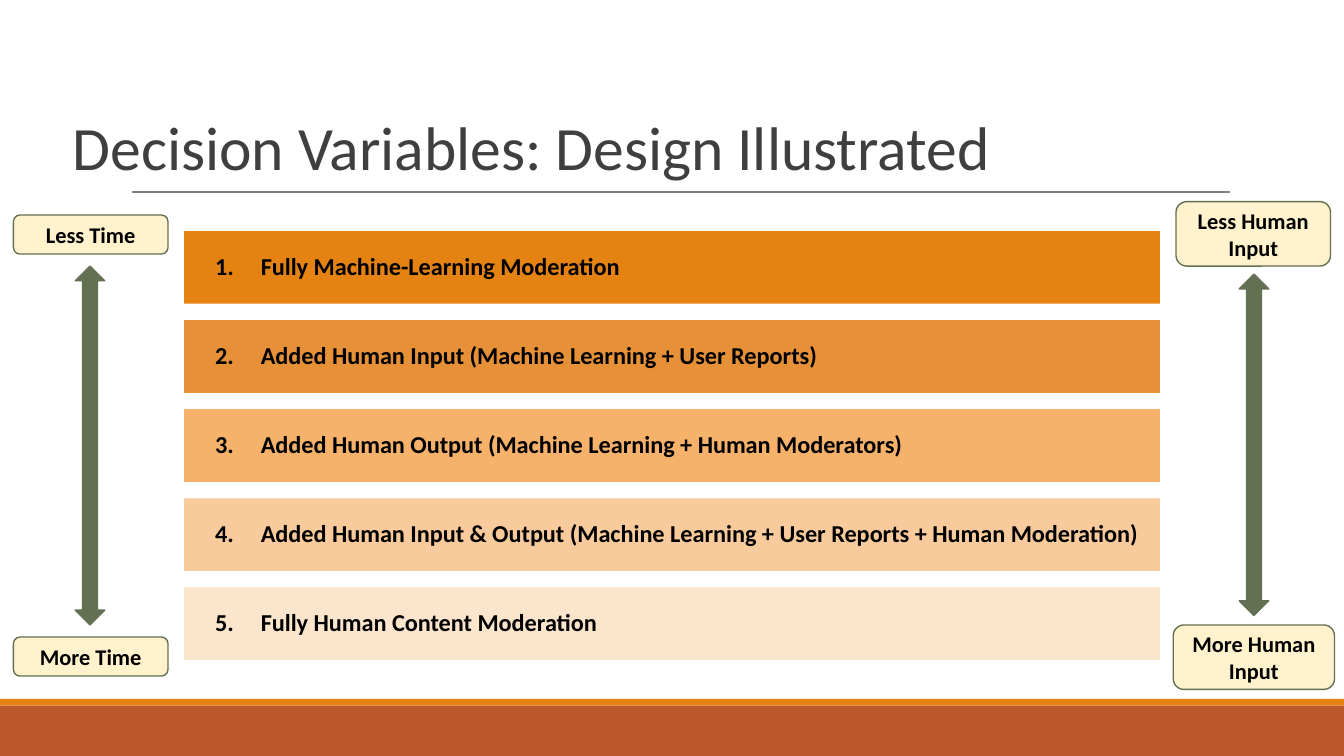
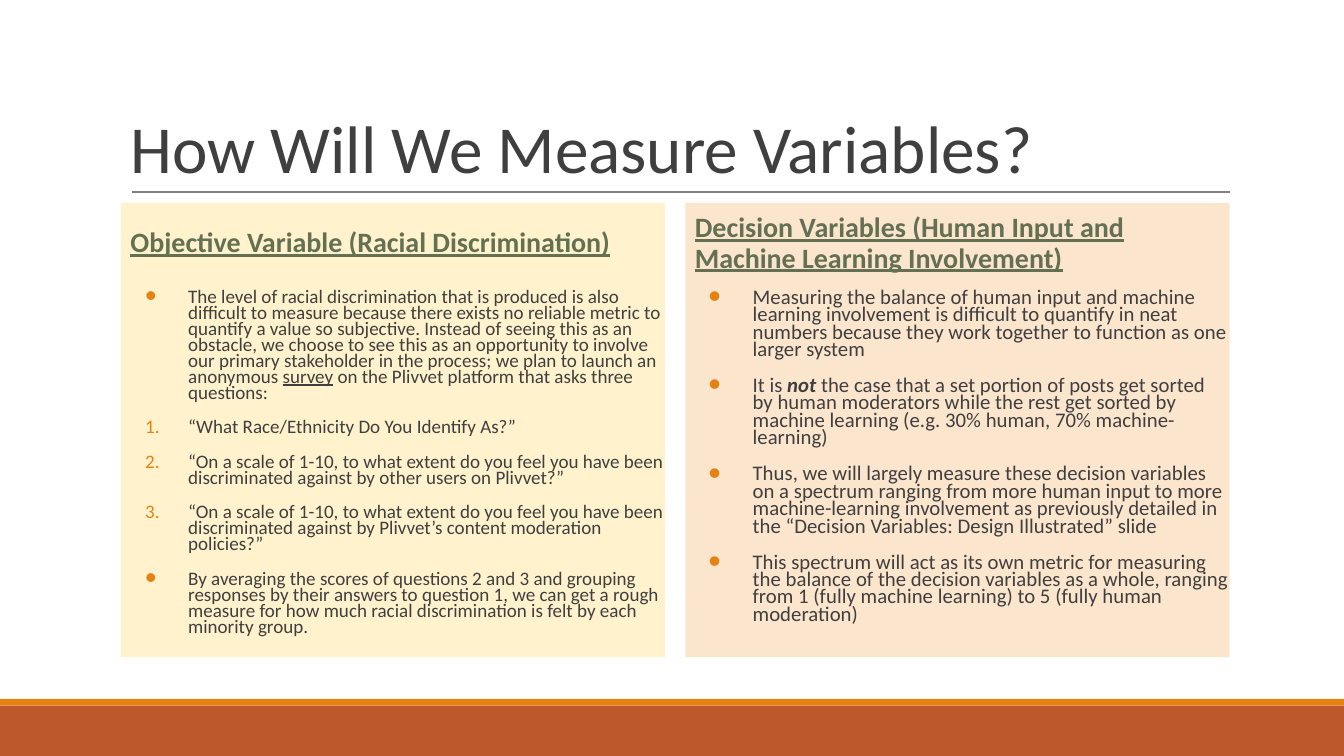
import copy
from dataclasses import dataclass

import pptx
import pptx.dml.color
import pptx.enum.shapes
import pptx.enum.text
import pptx.oxml.ns
import pptx.util
from lxml import etree


@dataclass(frozen=True)
class Theme:
    font: str = "Calibri"
    title: str = "3F3F3F"
    text: str = "3F3F3F"
    black: str = "000000"
    orange: str = "E48312"
    rust: str = "BD582C"
    green: str = "637052"
    rule: str = "7F7F7F"
    cream: str = "FFF2CC"
    peach: str = "FCE5CD"
    steps: tuple = ("E48312", "E69138", "F6B26B", "F9CB9C", "FCE5CD")
    title_sizes: tuple = (33, 36)
    heading_size: float = 15
    step_size: float = 13
    label_size: float = 12
    list_sizes: tuple = (10.2, 11.1)
    line_width: float = 0.75


theme = Theme()
rgb = pptx.dml.color.RGBColor.from_string
qn = pptx.oxml.ns.qn
shape_kind = pptx.enum.shapes.MSO_SHAPE
anchors = pptx.enum.text.MSO_ANCHOR
alignments = pptx.enum.text.PP_ALIGN

presentation = pptx.Presentation()
presentation.slide_width = pptx.util.Inches(10)
presentation.slide_height = pptx.util.Inches(5.625)
cell = presentation.slide_width / 100  # square grid, 100 columns wide


def cells(*lengths):
    return [pptx.util.Emu(round(length * cell)) for length in lengths]


def write(shape, paragraphs, size, color, bold=False, underline=False, align=alignments.LEFT,
          anchor=anchors.MIDDLE, margins=(0.7, 0.4), spacing=1, before=(0, 0), after=0,
          hang=0, bullets=None, bullet_color=None, start=1):
    """Fill a shape; a paragraph is a string or a list of (text, font settings)."""
    frame = shape.text_frame
    frame.word_wrap = True
    frame.auto_size = pptx.enum.text.MSO_AUTO_SIZE.NONE
    frame.vertical_anchor = anchor
    frame.margin_left, frame.margin_top = cells(*margins)
    frame.margin_right, frame.margin_bottom = cells(*margins)
    for index, content in enumerate(paragraphs):
        paragraph = frame.paragraphs[0] if index == 0 else frame.add_paragraph()
        paragraph.alignment = align
        paragraph.line_spacing = spacing
        paragraph.space_before = pptx.util.Pt(before[min(index, 1)])
        paragraph.space_after = pptx.util.Pt(after)
        properties = paragraph._p.get_or_add_pPr()
        properties.set("marL", str(cells(5)[0] if bullets else 0))
        properties.set("indent", str(-cells(hang)[0]))
        if bullets:
            color_element = etree.SubElement(properties, qn("a:buClr"))
            etree.SubElement(color_element, qn("a:srgbClr"), val=bullet_color)
            etree.SubElement(properties, qn("a:buFont"), typeface=theme.font)
            if bullets[index] == "1":
                number = etree.SubElement(properties, qn("a:buAutoNum"), type="arabicPeriod")
                if start > 1:
                    number.set("startAt", str(start))
            else:
                etree.SubElement(properties, qn("a:buChar"), char=bullets[index])
        else:
            etree.SubElement(properties, qn("a:buNone"))
        for text, settings in [(content, {})] if isinstance(content, str) else content:
            run = paragraph.add_run()
            run.text = text
            run.font.name = theme.font
            run.font.size = pptx.util.Pt(size)
            run.font.color.rgb = rgb(color)
            run.font.bold = settings.get("bold", bold)
            run.font.italic = settings.get("italic", False)
            run.font.underline = settings.get("underline", underline)


# Slides and their titles
layouts = presentation.slide_layouts
design_slide = presentation.slides.add_slide(layouts.get_by_name("Title and Content"))
measure_slide = presentation.slides.add_slide(layouts.get_by_name("Comparison"))
titles = [
    (design_slide, "Decision Variables: Design Illustrated", (4.7, 2.1, 86.8, 11.9)),
    (measure_slide, "How Will We Measure Variables?", (9, 2.4, 82.5, 11.9)),
]
for (slide, text, place), size in zip(titles, theme.title_sizes):
    title = slide.shapes.title
    title.left, title.top, title.width, title.height = cells(*place)
    write(title, [text], size, theme.title, anchor=anchors.BOTTOM, spacing=0.85)

# Footer bands and title rule, moved to the slide master
shared = []
for top, height, color in [(52.5, 3.75, theme.rust), (52, 0.5, theme.orange)]:
    band = design_slide.shapes.add_shape(shape_kind.RECTANGLE, *cells(0, top, 100, height))
    band.shadow.inherit = False
    band.fill.solid()
    band.fill.fore_color.rgb = rgb(color)
    band.line.fill.background()
    shared.append(band)
rule = design_slide.shapes.add_connector(
    pptx.enum.shapes.MSO_CONNECTOR.STRAIGHT, *cells(9.8, 14.3, 91.5, 14.3))
rule.line.color.rgb = rgb(theme.rule)
rule.line.width = pptx.util.Pt(theme.line_width)
etree.SubElement(rule._element.spPr, qn("a:effectLst"))
shared.append(rule)
master_tree = presentation.slide_master.shapes._spTree
for index, shape in enumerate(shared):
    shape._element.find(".//" + qn("p:cNvPr")).set("id", str(100 + index))
    master_tree.insert(2 + index, shape._element)

# Design slide: five steps, from machine to human
steps = [
    "Fully Machine-Learning Moderation",
    "Added Human Input (Machine Learning + User Reports)",
    "Added Human Output (Machine Learning + Human Moderators)",
    "Added Human Input & Output (Machine Learning + User Reports + Human Moderation)",
    "Fully Human Content Moderation",
]
first_step = design_slide.placeholders[1]
for index in range(1, len(steps)):
    element = copy.deepcopy(first_step._element)
    element.find(".//" + qn("p:cNvPr")).set("id", str(10 + index))
    element.find(".//" + qn("p:cNvPr")).set("name", f"Step {index + 1}")
    design_slide.shapes._spTree.append(element)
step_shapes = [shape for shape in design_slide.placeholders if shape.placeholder_format.idx == 1]
step_pitch = (43.7 - 17.2) / (len(steps) - 1)
for index, (shape, text, color) in enumerate(zip(step_shapes, steps, theme.steps)):
    shape.left, shape.top, shape.width, shape.height = cells(
        13.7, 17.2 + index * step_pitch, 72.6, 5.4)
    shape.fill.solid()
    shape.fill.fore_color.rgb = rgb(color)
    write(shape, [text], theme.step_size, theme.black, bold=True, spacing=0.9, before=(9, 9),
          hang=3.4, bullets="1", bullet_color=theme.black, start=index + 1)

# Design slide: time scale on the left, human input scale on the right
scale_parts = [
    (shape_kind.UP_DOWN_ARROW, (5.6, 19.8, 2.2, 26.7), None),
    (shape_kind.ROUNDED_RECTANGLE, (1, 16, 11.5, 2.9), "Less Time"),
    (shape_kind.ROUNDED_RECTANGLE, (1, 47.4, 11.5, 2.9), "More Time"),
    (shape_kind.ROUNDED_RECTANGLE, (87.5, 15, 11.5, 4.8), "Less Human Input"),
    (shape_kind.UP_DOWN_ARROW, (92.2, 20.4, 2.2, 25.4), None),
    (shape_kind.ROUNDED_RECTANGLE, (87.3, 46.5, 12, 4.8), "More Human Input"),
]
for kind, place, text in scale_parts:
    shape = design_slide.shapes.add_shape(kind, *cells(*place))
    shape.shadow.inherit = False
    shape.fill.solid()
    shape.fill.fore_color.rgb = rgb(theme.cream if text else theme.green)
    shape.line.color.rgb = rgb(theme.green)
    shape.line.width = pptx.util.Pt(theme.line_width)
    if text:
        write(shape, [text], theme.label_size, theme.black, bold=True,
              align=alignments.CENTER, margins=(1, 1))

# Measure slide: a heading and a list in each column
objective_points = [
    [("The level of racial discrimination that is produced is also difficult to measure because "
      "there exists no reliable metric to quantify a value so subjective. Instead of seeing this "
      "as an obstacle, we choose to see this as an opportunity to involve our primary stakeholder "
      "in the process; we plan to launch an anonymous ", {}),
     ("survey", {"underline": True}),
     (" on the Plivvet platform that asks three questions:", {})],
    "“What Race/Ethnicity Do You Identify As?”",
    "“On a scale of 1-10, to what extent do you feel you have been discriminated against by "
    "other users on Plivvet?”",
    "“On a scale of 1-10, to what extent do you feel you have been discriminated against by "
    "Plivvet’s content moderation policies?”",
    "By averaging the scores of questions 2 and 3 and grouping responses by their answers to "
    "question 1, we can get a rough measure for how much racial discrimination is felt by each "
    "minority group.",
]
decision_points = [
    "Measuring the balance of human input and machine learning involvement is difficult to "
    "quantify in neat numbers because they work together to function as one larger system",
    [("It is ", {}),
     ("not ", {"bold": True, "italic": True}),
     ("the case that a set portion of posts get sorted by human moderators while the rest get "
      "sorted by machine learning (e.g. 30% human, 70% machine-learning)", {})],
    "Thus, we will largely measure these decision variables on a spectrum ranging from more human "
    "input to more machine-learning involvement as previously detailed in the “Decision "
    "Variables: Design Illustrated” slide",
    "This spectrum will act as its own metric for measuring the balance of the decision variables "
    "as a whole, ranging from 1 (fully machine learning) to 5 (fully human moderation)",
]
columns = [
    ("Objective Variable (Racial Discrimination)", objective_points, "●111●", 3.2, theme.cream),
    ("Decision Variables (Human Input and Machine Learning Involvement)", decision_points,
     "●●●●", 3.3, theme.peach),
]
for index, (heading, points, bullets, hang, color) in enumerate(columns):
    heading_shape = measure_slide.placeholders[1 + 2 * index]
    list_shape = measure_slide.placeholders[2 + 2 * index]
    for shape, top, height in [(heading_shape, 15.1, 6.1), (list_shape, 21.2, 27.7)]:
        shape.left, shape.top, shape.width, shape.height = cells(
            9 + 42 * index, top, 40.5, height)
        shape.fill.solid()
        shape.fill.fore_color.rgb = rgb(color)
    write(heading_shape, [heading], theme.heading_size, theme.green, bold=True, underline=True,
          spacing=0.9, before=(9, 9), after=2)
    write(list_shape, points, theme.list_sizes[index], theme.text, anchor=anchors.TOP,
          margins=(0, 0.4), spacing=0.7, before=(9, 10), hang=hang, bullets=bullets,
          bullet_color=theme.orange)

presentation.save("out.pptx")
